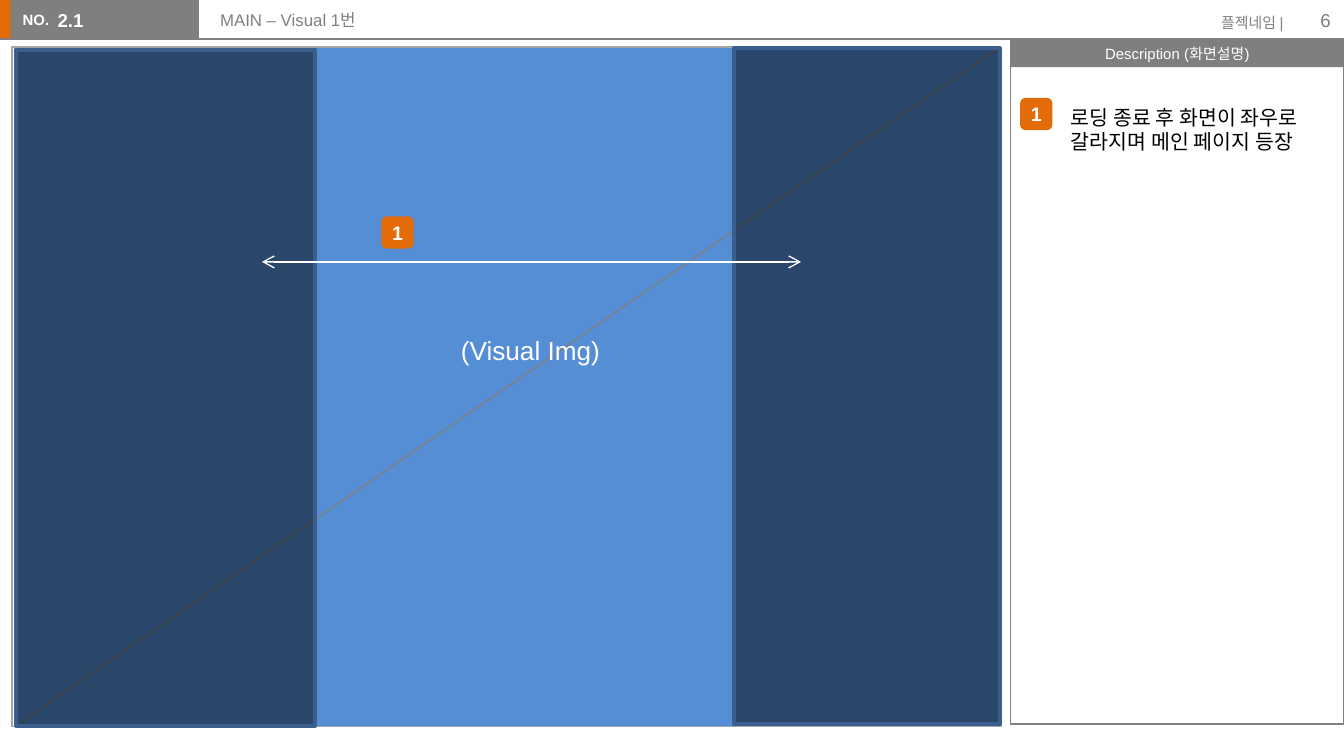
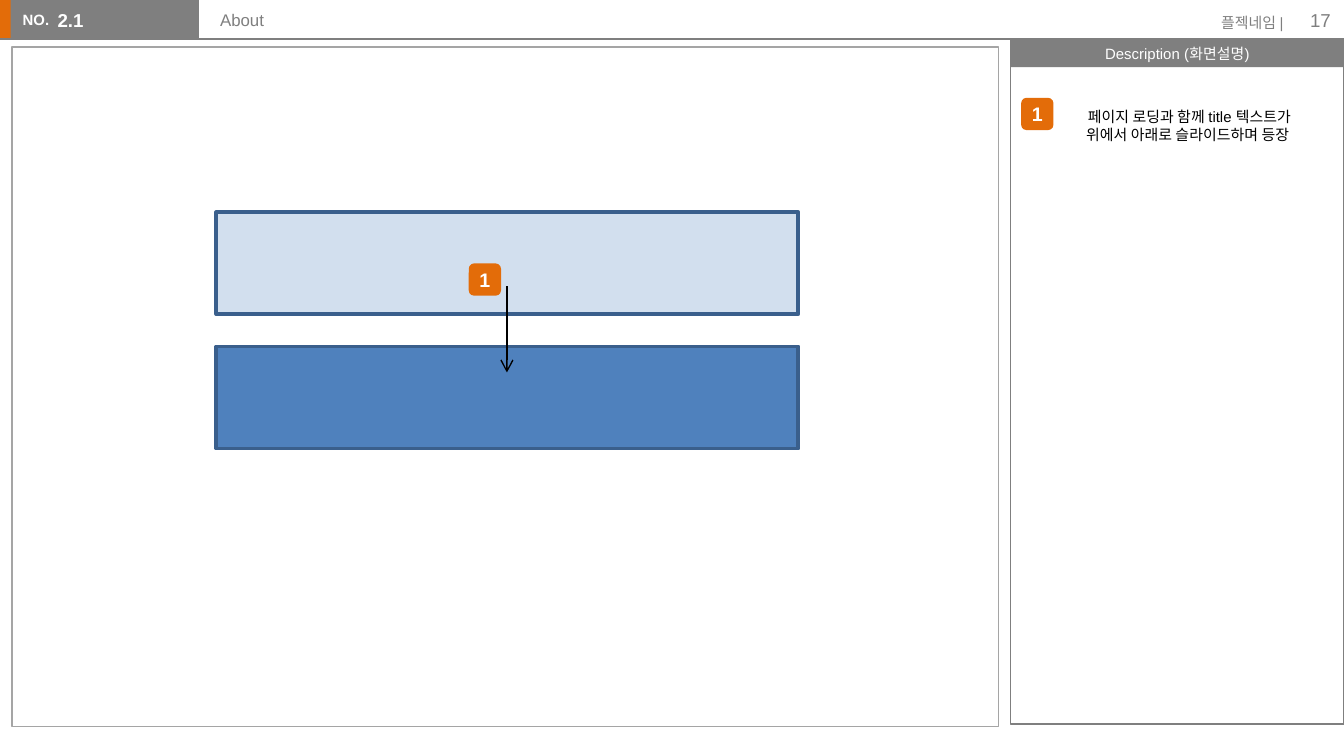
from lxml.etree import SubElement as Sub
from pptx import Presentation
from pptx.dml.color import RGBColor as Rgb
from pptx.enum.shapes import MSO_CONNECTOR as Link, MSO_SHAPE as Kind
from pptx.enum.text import MSO_ANCHOR as Anchor, MSO_AUTO_SIZE as Fit, PP_ALIGN as Align
from pptx.oxml.ns import qn
from pptx.util import Cm, Pt

ORANGE = Rgb(0xE3, 0x6C, 0x09)
GRAY = Rgb(0x7F, 0x7F, 0x7F)
SILVER = Rgb(0xA5, 0xA5, 0xA5)
WHITE = Rgb(0xFF, 0xFF, 0xFF)
BLACK = Rgb(0, 0, 0)
SKY = Rgb(0x55, 0x8E, 0xD5)
BLUE = Rgb(0x4F, 0x81, 0xBD)
NAVY = Rgb(0x3A, 0x5F, 0x8C)
FONT = "Arial"
THIN, THICK = 0.75, 2
BADGE = 0.61
TOP = 0.74


def write(shape, lines, size, color, bold=False, align=Align.LEFT,
          anchor=Anchor.TOP, pad=(0.25, 0.13), wrap=True):
    frame = shape.text_frame
    frame.word_wrap = wrap
    frame.vertical_anchor = anchor
    frame.margin_left = frame.margin_right = Cm(pad[0])
    frame.margin_top = frame.margin_bottom = Cm(pad[1])
    for i, line in enumerate(lines):
        para = frame.add_paragraph() if i else frame.paragraphs[0]
        para.alignment = align
        run = para.add_run()
        run.text = line
        font = run.font
        font.name, font.size, font.bold = FONT, Pt(size), bold
        font.color.rgb = color


def box(shapes, x, y, w, h, fill=None, line=None, width=THIN, alpha=100, kind=Kind.RECTANGLE):
    shape = shapes.add_shape(kind, Cm(x), Cm(y), Cm(w), Cm(h))
    shape.shadow.inherit = False
    if fill is None:
        shape.fill.background()
    else:
        shape.fill.solid()
        shape.fill.fore_color.rgb = fill
        if alpha < 100:
            tint = shape.fill._xPr.find(qn("a:solidFill"))[0]
            Sub(tint, qn("a:alpha"), val=str(alpha * 1000))
    if line is None:
        shape.line.fill.background()
    else:
        shape.line.color.rgb = line
        shape.line.width = Pt(width)
    return shape


def label(shapes, x, y, w, h, lines, size, color, grow=False, **style):
    text = shapes.add_textbox(Cm(x), Cm(y), Cm(w), Cm(h))
    write(text, lines, size, color, **style)
    if grow:
        text.text_frame.auto_size = Fit.SHAPE_TO_FIT_TEXT


def rule(shapes, x1, y1, x2, y2, color, ends=()):
    line = shapes.add_connector(Link.STRAIGHT, Cm(x1), Cm(y1), Cm(x2), Cm(y2))
    line.line.color.rgb = color
    line.line.width = Pt(THIN)
    for end in ends:
        Sub(line.line._get_or_add_ln(), qn("a:" + end), type="arrow")
    Sub(line._element.spPr, qn("a:effectLst"))


def badge(shapes, x, y):
    mark = box(shapes, x, y, BADGE, BADGE, ORANGE, kind=Kind.ROUNDED_RECTANGLE)
    write(mark, ["1"], 10.5, WHITE, bold=True, align=Align.CENTER,
          anchor=Anchor.MIDDLE, pad=(0, 0.13))


def base(deck, title, page):
    shapes = deck.slides.add_slide(deck.slide_layouts[6]).shapes
    box(shapes, -0.03, 0, 0.3, TOP, ORANGE)
    box(shapes, 0.2, 0, 3.56, TOP, GRAY)
    label(shapes, 0.18, 0.08, 1.04, 0.61, ["NO."], 8, WHITE, bold=True, wrap=False)
    rule(shapes, 0, TOP, 19.46, TOP, GRAY)
    head = box(shapes, 19.1, TOP, 6.3, 0.53, GRAY)
    write(head, ["Description (화면설명)"], 8, WHITE, align=Align.CENTER,
          anchor=Anchor.MIDDLE, pad=(0.23, 0.1))
    box(shapes, 19.1, TOP, 6.3, 12.95, line=GRAY)
    label(shapes, 22.68, 0.13, 1.83, 0.61, ["플젝네임 |"], 8, GRAY,
          align=Align.RIGHT, wrap=False)
    box(shapes, 0.23, 0.89, 18.64, 12.85, WHITE, SILVER, alpha=70)
    label(shapes, 23.88, 0, 1.52, 0.76, [page], 10, GRAY,
          align=Align.RIGHT, anchor=Anchor.MIDDLE)
    label(shapes, 3.91, 0.05, 14.25, 0.81, [title], 9, GRAY)
    label(shapes, 1.09, 0.03, 2.79, 0.79, ["2.1"], 10, WHITE, bold=True, pad=(0, 0.13))
    return shapes


def visual(deck):
    shapes = base(deck, "MAIN – Visual 1번", "6")
    group = shapes.add_group_shape().shapes
    box(group, 0.28, 0.89, 18.64, 12.85, SKY, SILVER)
    rule(group, 18.9, 0.89, 0.3, 13.72, GRAY)
    for x, y, w in ((0.3, 0.94, 5.66), (13.87, 0.91, 5.03)):
        box(shapes, x, y, w, 12.78, BLACK, NAVY, THICK, alpha=50)
    badge(shapes, 7.21, 4.09)
    label(shapes, 8.46, 6.2, 3.18, 0.86, ["(Visual Img)"], 14, WHITE, grow=True, wrap=False)
    rule(shapes, 4.95, 4.95, 15.14, 4.95, WHITE, ("headEnd", "tailEnd"))
    badge(shapes, 19.28, 1.85)
    label(shapes, 19.99, 1.85, 5.46, 1.19,
          ["로딩 종료 후 화면이 좌우로", "갈라지며 메인 페이지 등장"],
          11, BLACK, grow=True, wrap=False)


def about(deck):
    shapes = base(deck, "About", "17")
    for y, alpha in ((6.55, 100), (4.01, 25)):
        box(shapes, 4.09, y, 11, 1.93, BLUE, NAVY, THICK, alpha)
    rule(shapes, 9.58, 5.41, 9.58, 7.04, BLACK, ("tailEnd",))
    badge(shapes, 8.86, 4.98)
    badge(shapes, 19.3, 1.85)
    label(shapes, 20.09, 1.9, 4.78, 0.94,
          ["페이지 로딩과 함께 title 텍스트가 위에서 아래로 슬라이드하며 등장 "],
          8, BLACK, grow=True, align=Align.CENTER)


def main():
    deck = Presentation()
    deck.slide_width, deck.slide_height = Cm(25.4), Cm(14.29)
    visual(deck)
    about(deck)
    deck.save("out.pptx")


if __name__ == "__main__":
    main()
